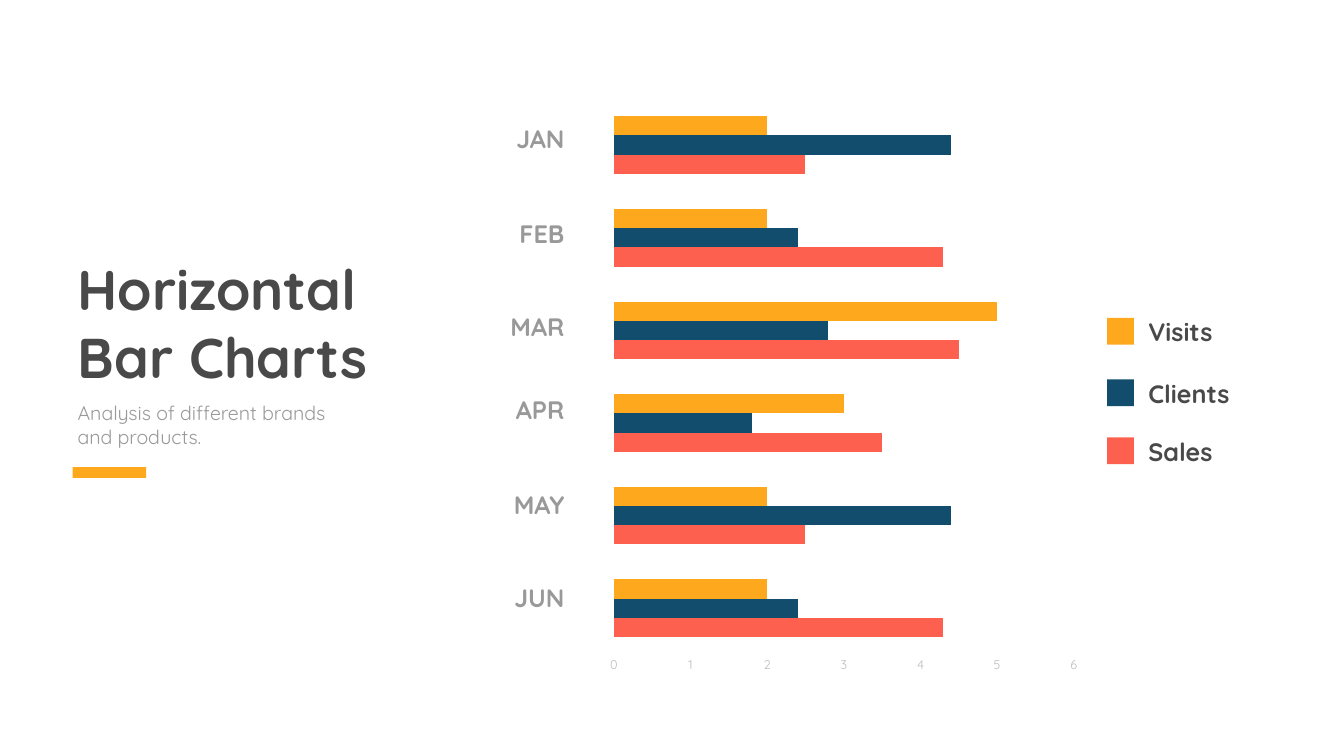
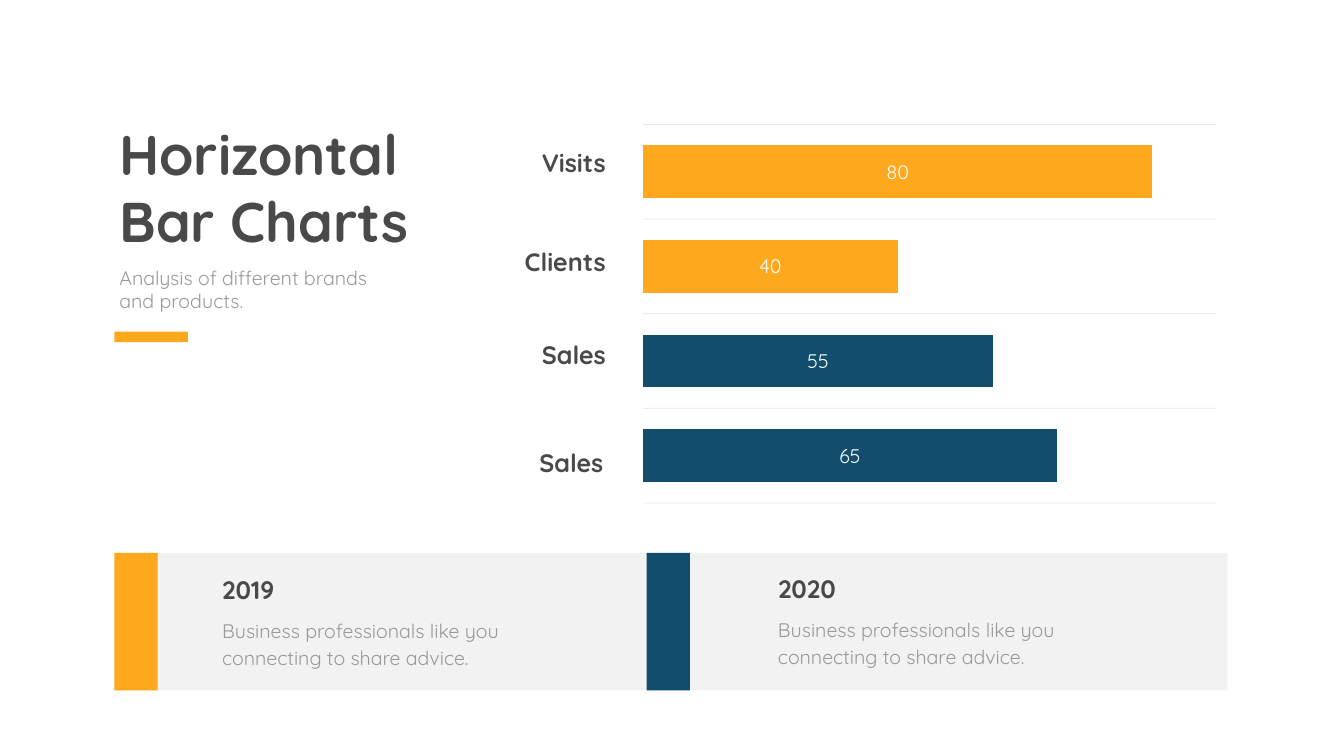
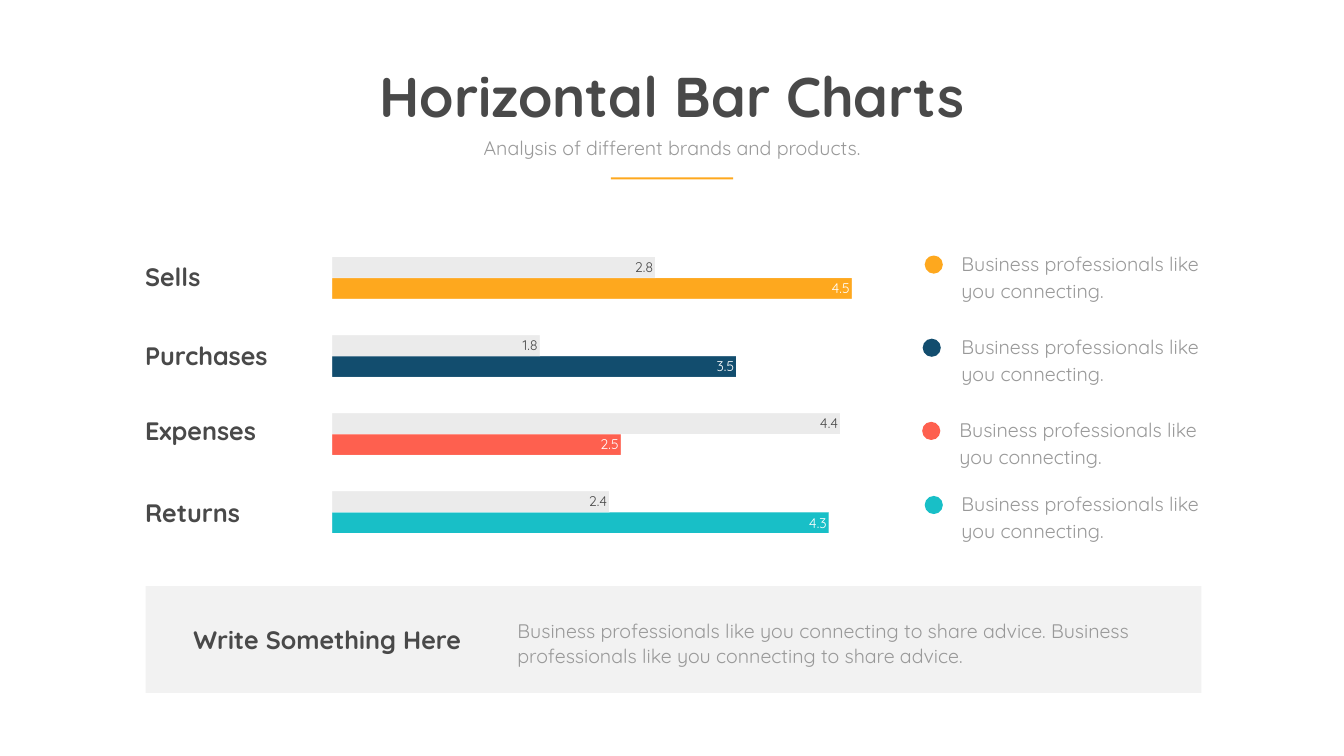
from lxml import etree
from pptx import Presentation
from pptx import util as u
from pptx.chart import data
from pptx.dml import color
from pptx.enum import chart as charts
from pptx.enum import shapes, text
from pptx.oxml import ns

FONT = "Quicksand"
ORANGE, NAVY, CORAL, TEAL = "FEA81E", "124D6E", "FE604F", "18BFC7"
DARK, GREY, AXIS_GREY = "494949", "999999", "BDBDBD"
PANEL, PALE, GRID, WHITE = "F2F2F2", "EBEBEB", "808080", "FFFFFF"

TITLE = {"size": 80, "bold": True, "ink": DARK}
LABEL = {"size": 36, "bold": True, "ink": DARK}
MONTH = {"size": 36, "bold": True, "ink": GREY}
BODY = {"size": 28, "bold": False, "ink": GREY}

HEADING = "Horizontal Bar Charts"
SUBTITLE = "Analysis of different brands and products."
LABEL_HEIGHT = 0.71
LEFT, CENTER, RIGHT = (text.PP_ALIGN.LEFT, text.PP_ALIGN.CENTER,
                       text.PP_ALIGN.RIGHT)


def rgb(value):
    """Turn a hex string into a colour."""
    return color.RGBColor.from_string(value)


def inches(box):
    """Convert a box of numbers into lengths."""
    return [u.Inches(length) for length in box]


def set_font(font, size, ink, bold=False):
    """Apply the deck's typeface with a size, colour and weight."""
    values = {"name": FONT, "size": u.Pt(size), "bold": bold}
    for name, value in values.items():
        setattr(font, name, value)
    font.color.rgb = rgb(ink)


def add_text(slide, box, wording, style, align=LEFT, spacing=None):
    """Place wrapped text in a box."""
    frame = slide.shapes.add_textbox(*inches(box)).text_frame
    frame.word_wrap = True
    frame.auto_size = text.MSO_AUTO_SIZE.SHAPE_TO_FIT_TEXT
    paragraph = frame.paragraphs[0]
    paragraph.alignment = align
    if spacing:
        paragraph.line_spacing = u.Pt(spacing)
    run = paragraph.add_run()
    run.text = wording
    set_font(run.font, **style)


def add_block(slide, box, fill, kind=shapes.MSO_SHAPE.RECTANGLE):
    """Place a flat coloured shape without outline."""
    block = slide.shapes.add_shape(kind, *inches(box))
    block.shadow.inherit = False
    block.fill.solid()
    block.fill.fore_color.rgb = rgb(fill)
    block.line.fill.background()


def add_labels(slide, left, width, rows, style=LABEL, align=LEFT):
    """Place one label per (top, wording) row."""
    for top, wording in rows:
        add_text(slide, (left, top, width, LABEL_HEIGHT), wording, style, align)


def side_heading(slide, left, top):
    """Place the two-line title, subtitle and accent bar."""
    add_text(slide, (left, top, 6.86, 2.79), HEADING, TITLE)
    add_text(slide, (left, top + 2.9, 5.75, 1.04), SUBTITLE, BODY)
    add_block(slide, (left, top + 4.26, 1.46, 0.21), ORANGE)


def centred_heading(slide, left, top, width):
    """Place the one-line title, subtitle and thin rule on one axis."""
    parts = ((0, width, 1.45, HEADING, TITLE), (1.48, 9.56, 0.57, SUBTITLE, BODY))
    for drop, part_width, height, wording, style in parts:
        start = left + (width - part_width) / 2
        add_text(slide, (start, top + drop, part_width, height), wording,
                 style, CENTER)
    add_block(slide, (left + (width - 2.43) / 2, top + 2.35, 2.43, 0.04), ORANGE)


def set_plot_area(chart, box, plot_box):
    """Fix the inner plot area inside the chart box."""
    area = chart._chartSpace.find(".//" + ns.qn("c:plotArea"))
    for old in area.findall(ns.qn("c:layout")):
        area.remove(old)
    layout = etree.Element(ns.qn("c:layout"))
    manual = etree.SubElement(layout, ns.qn("c:manualLayout"))
    left, top, width, height = box
    x, y, w, h = plot_box
    settings = {"layoutTarget": "inner", "xMode": "edge", "yMode": "edge",
                "x": (x - left) / width, "y": (y - top) / height,
                "w": w / width, "h": h / height}
    for tag, value in settings.items():
        etree.SubElement(manual, ns.qn("c:" + tag)).set("val", str(value))
    area.insert(0, layout)


def set_line_opacity(chart, percent):
    """Make every coloured line of the chart translucent."""
    for line in chart._chartSpace.iter(ns.qn("a:ln")):
        for ink in line.iter(ns.qn("a:srgbClr")):
            etree.SubElement(ink, ns.qn("a:alpha")).set("val", str(percent * 1000))


def paint_bars(series, fills, outlined):
    """Colour a series, bar by bar when several fills are given."""
    targets = [(series, fills[0])]
    if len(fills) > 1 or outlined:
        count = len(series.values)
        bar_fills = fills if len(fills) > 1 else fills * count
        targets += [(series.points[i], bar_fills[i]) for i in range(count)]
    for target, fill in targets:
        target.format.fill.solid()
        target.format.fill.fore_color.rgb = rgb(fill)
        if outlined:
            target.format.line.color.rgb = rgb(WHITE)
            target.format.line.width = u.Pt(0.75)


def label_bars(series, size, ink, position):
    """Show the values on the bars."""
    labels = series.data_labels
    labels.show_value = True
    labels.position = position
    set_font(labels.font, size, ink)


def add_bars(slide, box, plot_box, columns, kind, gap, top_value, size,
             outlined=False):
    """Place a bar chart with hidden categories and return it."""
    source = data.CategoryChartData()
    source.categories = [str(i + 1) for i in range(len(columns[0][0]))]
    for number, (values, _) in enumerate(columns, 1):
        source.add_series(f"Series {number}", values)
    chart = slide.shapes.add_chart(kind, *inches(box), source).chart
    chart.has_legend = False
    chart.has_title = False
    set_font(chart.font, size, GREY)
    plot = chart.plots[0]
    plot.gap_width = gap
    plot.vary_by_categories = False
    for series, (_, fills) in zip(plot.series, columns):
        series.invert_if_negative = False
        paint_bars(series, fills, outlined)
    chart.category_axis.visible = False
    axis_format = {"visible": False, "has_major_gridlines": False,
                   "minimum_scale": 0, "maximum_scale": top_value,
                   "major_tick_mark": charts.XL_TICK_MARK.NONE}
    for name, value in axis_format.items():
        setattr(chart.value_axis, name, value)
    set_plot_area(chart, box, plot_box)
    return chart


def month_chart(slide, left, top):
    """Place the six-month chart with its month names."""
    columns = [((4.3, 2.5, 3.5, 4.5, 4.3, 2.5), [CORAL]),
               ((2.4, 4.4, 1.8, 2.8, 2.4, 4.4), [NAVY]),
               ((2, 2, 3, 5, 2, 2), [ORANGE])]
    chart = add_bars(slide, (left + 2.71, top, 9.64, 11.85),
                     (left + 2.96, top + 0.24, 9.13, 11.03), columns,
                     charts.XL_CHART_TYPE.BAR_CLUSTERED, 182, 6, 18)
    axis = chart.value_axis
    axis.visible = True
    axis.major_unit = 1
    axis.format.line.fill.background()
    set_font(axis.tick_labels.font, 18, AXIS_GREY)
    drops = (0.67, 2.56, 4.4, 6.06, 7.94, 9.79)
    months = ("JAN", "FEB", "MAR", "APR", "MAY", "JUN")
    rows = [(top + drop, month) for drop, month in zip(drops, months)]
    add_labels(slide, left, 2.08, rows, MONTH, RIGHT)


def month_legend(slide, left, top):
    """Place the colour squares with their names."""
    entries = ((0, 0.09, "Visits", ORANGE), (1.24, 1.31, "Clients", NAVY),
               (2.39, 2.46, "Sales", CORAL))
    for label_drop, square_drop, wording, fill in entries:
        add_labels(slide, left + 0.72, 2.98, [(top + label_drop, wording)])
        add_block(slide, (left, top + square_drop, 0.53, 0.53), fill)


def totals_chart(slide, left, top):
    """Place the four-bar chart with its row names."""
    rows = ((0.56, "Visits"), (2.52, "Clients"), (4.36, "Sales"))
    add_labels(slide, left, 2.98, [(top + drop, name) for drop, name in rows],
               align=RIGHT)
    chart = add_bars(slide, (left + 3.39, top, 11.83, 7.82),
                     (left + 3.62, top + 0.15, 11.37, 7.51),
                     [((65, 55, 40, 80), [NAVY, NAVY, ORANGE, ORANGE])],
                     charts.XL_CHART_TYPE.BAR_STACKED, 79, 90, 28)
    label_bars(chart.plots[0].series[0], 28, WHITE,
               charts.XL_LABEL_POSITION.CENTER)
    chart.category_axis.has_major_gridlines = True
    grid = chart.category_axis.major_gridlines.format.line
    grid.color.rgb = rgb(GRID)
    grid.width = u.Pt(1)
    set_line_opacity(chart, 20)
    add_labels(slide, left - 0.05, 2.98, [(top + 6.5, "Sales")], align=RIGHT)


def year_panel(slide, left, top):
    """Place the grey band with a note for each year."""
    advice = "Business professionals like you connecting to share advice."
    add_block(slide, (left, top, 22.09, 2.73), PANEL)
    years = ((0, 2.04, 0.38, "2019", ORANGE), (10.56, 13.07, 0.35, "2020", NAVY))
    for tab, indent, drop, year, fill in years:
        add_labels(slide, left + indent, 4.78, [(top + drop, year)])
        add_text(slide, (left + indent, top + drop + 0.82, 6.83, 1.18), advice,
                 BODY, spacing=38.6)
        add_block(slide, (left + tab, top, 0.86, 2.73), fill)


def trade_chart(slide, left, top):
    """Place the paired bars with their row names."""
    columns = [((4.3, 2.5, 3.5, 4.5), [TEAL, CORAL, NAVY, ORANGE]),
               ((2.4, 4.4, 1.8, 2.8), [PALE])]
    chart = add_bars(slide, (left + 3.57, top, 11.95, 6.45),
                     (left + 3.81, top + 0.12, 11.46, 6.2), columns,
                     charts.XL_CHART_TYPE.BAR_CLUSTERED, 171, 5, 20, True)
    for series, ink in zip(chart.plots[0].series, (WHITE, DARK)):
        label_bars(series, 20, ink, charts.XL_LABEL_POSITION.INSIDE_END)
    set_line_opacity(chart, 50)
    rows = ((0.51, "Sells"), (2.08, "Purchases"), (3.58, "Expenses"),
            (5.19, "Returns"))
    add_labels(slide, left, 3.3, [(top + drop, name) for drop, name in rows])


def trade_notes(slide, left, top):
    """Place the dotted notes beside the bars."""
    notes = ((0.05, 0.68, 0, ORANGE), (0.01, 0.68, 1.65, NAVY),
             (0, 0.64, 3.3, CORAL), (0.05, 0.68, 4.77, TEAL))
    for dot, indent, drop, fill in notes:
        add_block(slide, (left + dot, top + drop + 0.2, 0.36, 0.36), fill,
                  shapes.MSO_SHAPE.OVAL)
        add_text(slide, (left + indent, top + drop, 5.22, 1.18),
                 "Business professionals like you connecting.", BODY,
                 spacing=38.6)


def closing_panel(slide, left, top):
    """Place the grey band with the closing message."""
    add_block(slide, (left, top, 20.95, 2.12), PANEL)
    advice = ("Business professionals like you connecting to share advice. "
              "Business professionals like you connecting to share advice.")
    add_text(slide, (left + 7.28, top + 0.55, 13.35, 1.1), advice, BODY,
             spacing=36.6)
    add_labels(slide, left + 0.85, 5.69, [(top + 0.71, "Write Something Here")])


def months_slide(slide):
    """Build the monthly comparison."""
    side_heading(slide, 1.44, 5.01)
    month_chart(slide, 9.22, 1.72)
    month_legend(slide, 21.97, 6.22)


def years_slide(slide):
    """Build the comparison of two years."""
    side_heading(slide, 2.27, 2.32)
    totals_chart(slide, 9.14, 2.32)
    year_panel(slide, 2.27, 10.97)


def trade_slide(slide):
    """Build the trade overview."""
    trade_chart(slide, 2.78, 4.62)
    trade_notes(slide, 18.3, 4.87)
    centred_heading(slide, 5.56, 1.17, 15.55)
    closing_panel(slide, 2.89, 11.63)


def main():
    """Build and save the deck."""
    deck = Presentation()
    deck.slide_width, deck.slide_height = inches((26.67, 15))
    for build in (months_slide, years_slide, trade_slide):
        slide = deck.slides.add_slide(deck.slide_layouts[6])
        slide.background.fill.solid()
        slide.background.fill.fore_color.rgb = rgb(WHITE)
        build(slide)
    deck.save("out.pptx")


if __name__ == "__main__":
    main()
